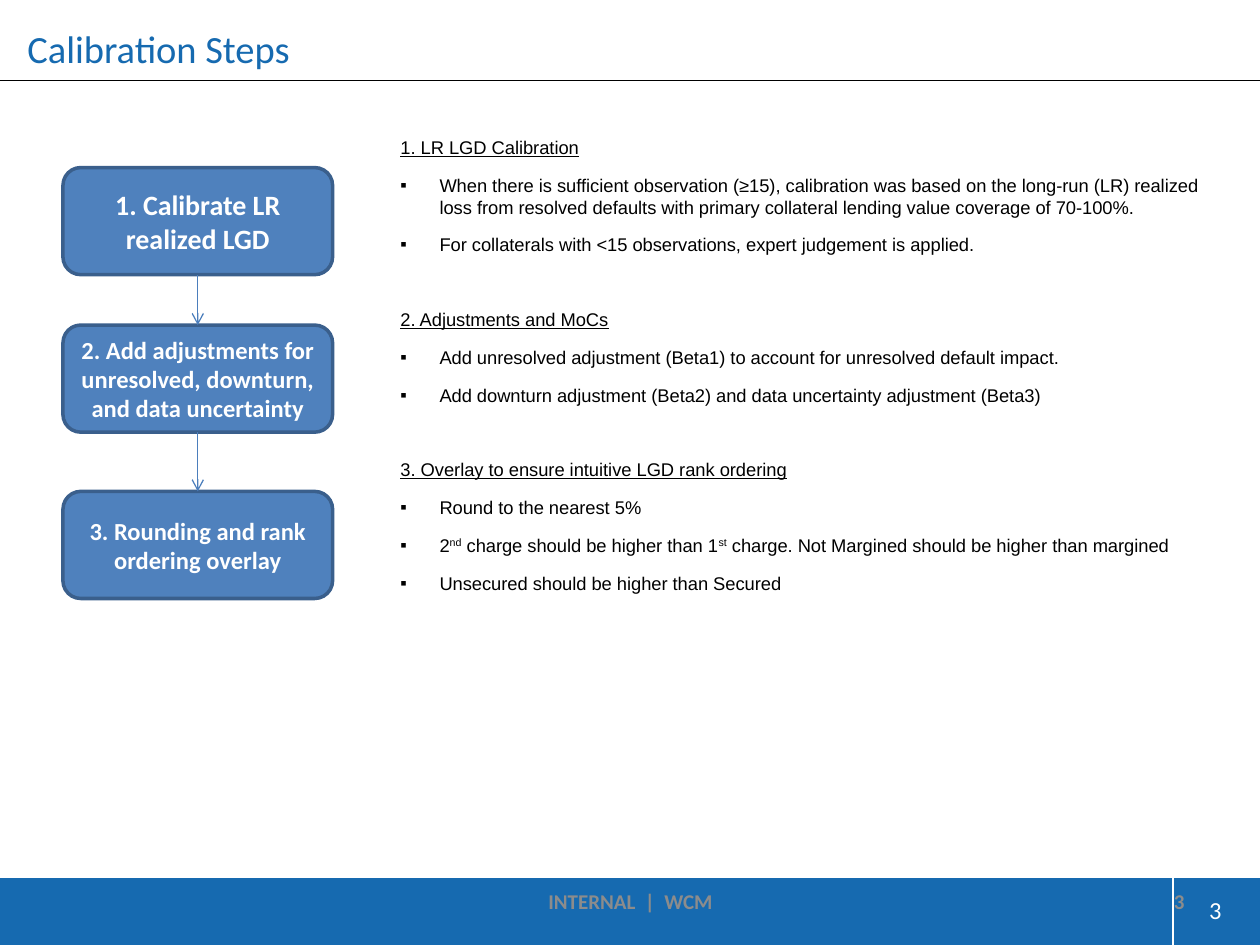
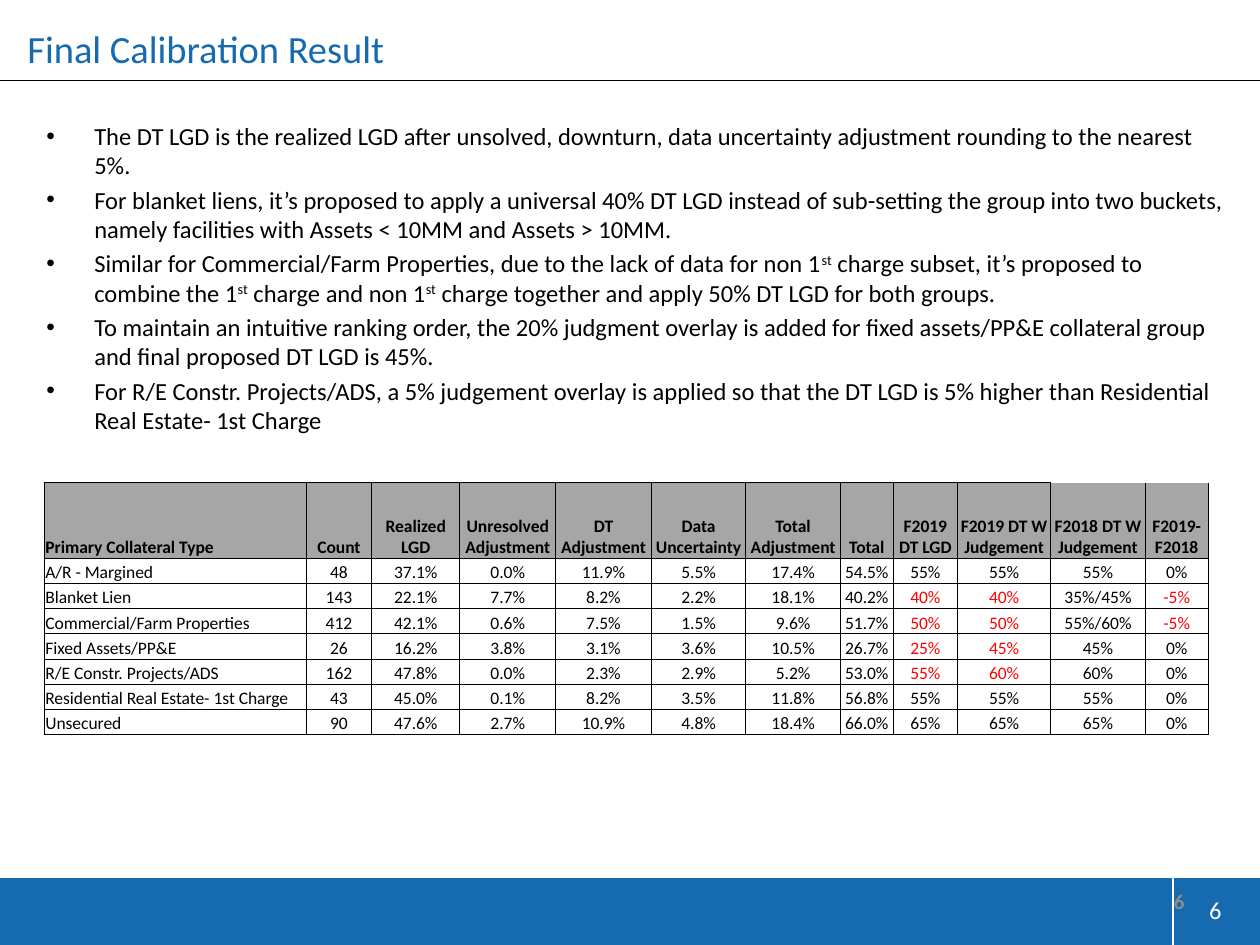
"""Builds two slides on LGD calibration: the steps and the final result."""
from dataclasses import dataclass

import pptx
import pptx.dml.color
import pptx.enum.shapes
import pptx.enum.text
import pptx.oxml.ns
import pptx.util
from lxml import etree

Inches = pptx.util.Inches
Pt = pptx.util.Pt
RGBColor = pptx.dml.color.RGBColor
Align = pptx.enum.text.PP_ALIGN
Anchor = pptx.enum.text.MSO_ANCHOR
Shape = pptx.enum.shapes.MSO_SHAPE
qn = pptx.oxml.ns.qn

BRAND_BLUE = RGBColor(0x16, 0x6A, 0xB0)
STEP_FILL = RGBColor(0x4F, 0x81, 0xBD)
STEP_EDGE = RGBColor(0x3A, 0x5F, 0x8C)
ARROW_BLUE = RGBColor(0x4B, 0x7E, 0xBC)
FOOTER_GREY = RGBColor(0x8C, 0x8C, 0x8C)
HEADER_GREY = RGBColor(0xA6, 0xA6, 0xA6)
BLACK = RGBColor(0, 0, 0)
WHITE = RGBColor(0xFF, 0xFF, 0xFF)
RED = RGBColor(0xFF, 0, 0)

BAND_TOP = 6.97
PAGE_RULE_X = 9.31


@dataclass
class Style:
    """Look of a paragraph's text."""
    size: float
    color: RGBColor = BLACK
    font: str = "Calibri"
    bold: bool = False
    underline: bool = False
    align: Align = Align.LEFT


@dataclass
class Bullet:
    """Bullet character and its hanging indent in inches."""
    char: str
    indent: float


@dataclass
class Step:
    """One box of the calibration flow."""
    text: str
    top: float
    size: float


@dataclass
class Section:
    """An underlined heading with its bullet points."""
    heading: str
    points: list[str]


TITLE = Style(22, BRAND_BLUE)
PAGE_NUMBER = Style(14, WHITE, align=Align.CENTER)
FOOTER = Style(12, FOOTER_GREY, bold=True, align=Align.CENTER)
FOOTER_NUMBER = Style(12, FOOTER_GREY, bold=True, align=Align.RIGHT)
HEADING = Style(10.5, font="Arial", underline=True)
POINT = Style(10.5, font="Arial")
FINDING = Style(14)
SQUARE = Bullet("▪", 0.31)
DOT = Bullet("•", 0.38)

STEPS = [
    Step("1. Calibrate LR realized LGD", 1.33, 16),
    Step("2. Add adjustments for unresolved, downturn, and data uncertainty", 2.58, 14),
    Step("3. Rounding and rank ordering overlay", 3.9, 14),
]

# A pair of ^ marks encloses superscript text.
SECTIONS = [
    Section("1. LR LGD Calibration", [
        "When there is sufficient observation (≥15), calibration was based on the long-run (LR) "
        "realized loss from resolved defaults with primary collateral lending value coverage "
        "of 70-100%.",
        "For collaterals with <15 observations, expert judgement is applied.",
    ]),
    Section("2. Adjustments and MoCs", [
        "Add unresolved adjustment (Beta1) to account for unresolved default impact.",
        "Add downturn adjustment (Beta2) and data uncertainty adjustment (Beta3)",
    ]),
    Section("3. Overlay to ensure intuitive LGD rank ordering", [
        "Round to the nearest 5%",
        "2^nd^ charge should be higher than 1^st^ charge. "
        "Not Margined should be higher than margined",
        "Unsecured should be higher than Secured",
    ]),
]

FINDINGS = [
    "The DT LGD is the realized LGD after unsolved, downturn, data uncertainty adjustment "
    "rounding to the nearest 5%.",
    "For blanket liens, it’s proposed to apply a universal 40% DT LGD instead of sub-setting "
    "the group into two buckets, namely facilities with Assets < 10MM and Assets > 10MM.",
    "Similar for Commercial/Farm Properties, due to the lack of data for non 1^st^ charge "
    "subset, it’s proposed to combine the 1^st^ charge and non 1^st^ charge together and "
    "apply 50% DT LGD for both groups.",
    "To maintain an intuitive ranking order, the 20% judgment overlay is added for fixed "
    "assets/PP&E collateral group and final proposed DT LGD is 45%.",
    "For R/E Constr. Projects/ADS, a 5% judgement overlay is applied so that the DT LGD is "
    "5% higher than Residential Real Estate- 1st Charge",
]

COLUMNS = [
    ("Primary Collateral Type", 2.08), ("Count", 0.52), ("Realized LGD", 0.7),
    ("Unresolved Adjustment", 0.76), ("DT Adjustment", 0.76), ("Data Uncertainty", 0.75),
    ("Total Adjustment", 0.75), ("Total", 0.42), ("F2019 DT LGD", 0.51),
    ("F2019 DT W Judgement", 0.74), ("F2018 DT W Judgement", 0.75), ("F2019-F2018", 0.5),
]
RESULTS = [
    ("A/R - Margined", "48 37.1% 0.0% 11.9% 5.5% 17.4% 54.5% 55% 55% 55% 0%"),
    ("Blanket Lien", "143 22.1% 7.7% 8.2% 2.2% 18.1% 40.2% 40% 40% 35%/45% -5%"),
    ("Commercial/Farm Properties", "412 42.1% 0.6% 7.5% 1.5% 9.6% 51.7% 50% 50% 55%/60% -5%"),
    ("Fixed Assets/PP&E", "26 16.2% 3.8% 3.1% 3.6% 10.5% 26.7% 25% 45% 45% 0%"),
    ("R/E Constr. Projects/ADS", "162 47.8% 0.0% 2.3% 2.9% 5.2% 53.0% 55% 60% 60% 0%"),
    ("Residential Real Estate- 1st Charge",
     "43 45.0% 0.1% 8.2% 3.5% 11.8% 56.8% 55% 55% 55% 0%"),
    ("Unsecured", "90 47.6% 2.7% 10.9% 4.8% 18.4% 66.0% 65% 65% 65% 0%"),
]
DT_LGD, JUDGED_2019, JUDGED_2018, CHANGE = 8, 9, 10, 11


def write(paragraph, text: str, style: Style, bullet: Bullet | None = None,
          before: float = 0, after: float = 0) -> None:
    """Fill a paragraph, raising the parts between ^ marks."""
    paragraph.alignment = style.align
    paragraph.space_before, paragraph.space_after = Pt(before), Pt(after)
    if bullet:
        properties = paragraph._p.get_or_add_pPr()
        properties.set("marL", str(Inches(bullet.indent)))
        properties.set("indent", str(-Inches(bullet.indent)))
        etree.SubElement(properties, qn("a:buFont"), typeface="Arial")
        etree.SubElement(properties, qn("a:buChar"), char=bullet.char)
    font = paragraph.font
    font.name, font.size, font.bold = style.font, Pt(style.size), style.bold
    font.underline = style.underline
    font.color.rgb = style.color
    for position, part in enumerate(text.split("^")):
        run = paragraph.add_run()
        run.text = part
        if position % 2:
            run._r.get_or_add_rPr().set("baseline", "30000")


def add_text_frame(slide, left: float, top: float, width: float, height: float,
                   anchor: Anchor = Anchor.MIDDLE):
    """Add a wrapping text box and return its text frame."""
    box = slide.shapes.add_textbox(Inches(left), Inches(top), Inches(width), Inches(height))
    box.text_frame.word_wrap = True
    box.text_frame.vertical_anchor = anchor
    return box.text_frame


def next_paragraph(frame, first: bool):
    """Return the frame's own first paragraph or a new one."""
    return frame.paragraphs[0] if first else frame.add_paragraph()


def add_line(slide, start: tuple[float, float], end: tuple[float, float],
             color: RGBColor, weight: float):
    """Add a straight line without shadow."""
    line = slide.shapes.add_connector(
        pptx.enum.shapes.MSO_CONNECTOR.STRAIGHT, *map(Inches, start + end))
    line.line.color.rgb = color
    line.line.width = Pt(weight)
    etree.SubElement(line._element.spPr, qn("a:effectLst"))
    return line


def add_base_slide(deck, title: str, number: int):
    """Add a slide with title, rule, footer band and page numbers."""
    slide = deck.slides.add_slide(deck.slide_layouts[6])
    band = slide.shapes.add_shape(
        Shape.RECTANGLE, 0, Inches(BAND_TOP), Inches(10), Inches(7.5 - BAND_TOP))
    band.shadow.inherit = False
    band.fill.solid()
    band.fill.fore_color.rgb = BRAND_BLUE
    band.line.fill.background()
    add_line(slide, (PAGE_RULE_X, BAND_TOP), (PAGE_RULE_X, 7.5), WHITE, 0.75)
    add_line(slide, (0, 0.64), (10, 0.64), BLACK, 0.5)
    page = add_text_frame(slide, 9.34, 7.01, 0.61, 0.42)
    page.margin_left = page.margin_right = page.margin_top = page.margin_bottom = 0
    write(page.paragraphs[0], str(number), PAGE_NUMBER)
    footer_number = add_text_frame(slide, 7.17, 6.95, 2.33, 0.4)
    write(footer_number.paragraphs[0], str(number), FOOTER_NUMBER)
    write(add_text_frame(slide, 0.12, 0.15, 9, 0.47).paragraphs[0], title, TITLE)
    return slide


def add_step(slide, step: Step):
    """Add one rounded box of the flow."""
    box = slide.shapes.add_shape(
        Shape.ROUNDED_RECTANGLE, Inches(0.5), Inches(step.top), Inches(2.14), Inches(0.85))
    box.shadow.inherit = False
    box.fill.solid()
    box.fill.fore_color.rgb = STEP_FILL
    box.line.color.rgb = STEP_EDGE
    box.line.width = Pt(2)
    box.text_frame.word_wrap = True
    box.text_frame.vertical_anchor = Anchor.MIDDLE
    style = Style(step.size, WHITE, bold=True, align=Align.CENTER)
    write(box.text_frame.paragraphs[0], step.text, style)
    return box


def add_arrow(slide, upper, lower) -> None:
    """Join the bottom of one step to the top of the next."""
    arrow = add_line(slide, (0, 0), (1, 1), ARROW_BLUE, 0.75)
    arrow.begin_connect(upper, 2)
    arrow.end_connect(lower, 0)
    etree.SubElement(arrow.line._get_or_add_ln(), qn("a:tailEnd"), type="arrow")


def set_borders(cell, sides: str) -> None:
    """Draw thin black borders on the given sides and none on the others."""
    properties = cell._tc.get_or_add_tcPr()
    for position, side in enumerate("LRTB"):
        border = etree.Element(qn(f"a:ln{side}"), w=str(Pt(0.5)))
        if side in sides:
            fill = etree.SubElement(border, qn("a:solidFill"))
            etree.SubElement(fill, qn("a:srgbClr"), val=str(BLACK))
        else:
            etree.SubElement(border, qn("a:noFill"))
        properties.insert(position, border)


def value_color(row: list[str], column: int) -> RGBColor:
    """Mark LGDs that judgement or the new year changed, and negative changes."""
    changed = len({row[DT_LGD], row[JUDGED_2019], row[JUDGED_2018]}) > 1
    if column in (DT_LGD, JUDGED_2019) and changed:
        return RED
    return RED if column == CHANGE and row[column].startswith("-") else BLACK


def add_result_table(slide) -> None:
    """Add the calibration table with its grey header row."""
    rows = [[name for name, _ in COLUMNS]]
    rows += [[collateral, *values.split()] for collateral, values in RESULTS]
    table = slide.shapes.add_table(
        len(rows), len(COLUMNS), Inches(0.35), Inches(3.83), Inches(9.24), Inches(2)).table
    table.first_row = table.horz_banding = False
    for column, (_, width) in zip(table.columns, COLUMNS):
        column.width = Inches(width)
    for r, row in enumerate(rows):
        header = r == 0
        table.rows[r].height = Inches(0.6 if header else 0.2)
        for c, text in enumerate(row):
            cell = table.cell(r, c)
            cell.margin_left = cell.margin_right = cell.margin_top = Inches(0.01)
            cell.margin_bottom = 0
            cell.vertical_anchor = Anchor.BOTTOM
            if header:
                cell.fill.solid()
                cell.fill.fore_color.rgb = HEADER_GREY
            else:
                cell.fill.background()
            set_borders(cell, "LRB" if header and c >= JUDGED_2018 else "LRTB")
            color = BLACK if header else value_color(row, c)
            align = Align.CENTER if c else Align.LEFT
            write(cell.text_frame.paragraphs[0], text,
                  Style(10, color, bold=header, align=align))


def build_steps_slide(deck) -> None:
    """Build the flow of steps with the explanation beside it."""
    slide = add_base_slide(deck, "Calibration Steps", 3)
    write(add_text_frame(slide, 3.42, 6.95, 3.17, 0.4).paragraphs[0], "INTERNAL  |  WCM", FOOTER)
    boxes = [add_step(slide, step) for step in STEPS]
    for upper, lower in zip(boxes, boxes[1:]):
        add_arrow(slide, upper, lower)
    frame = add_text_frame(slide, 3.08, 1.03, 6.69, 4.09, Anchor.TOP)
    for position, section in enumerate(SECTIONS):
        first = position == 0
        write(next_paragraph(frame, first), section.heading, HEADING,
              before=0 if first else 21, after=9)
        for point in section.points:
            write(frame.add_paragraph(), point, POINT, SQUARE, after=9)


def build_result_slide(deck) -> None:
    """Build the findings with the result table below."""
    slide = add_base_slide(deck, "Final Calibration Result", 6)
    frame = add_text_frame(slide, 0.27, 0.91, 9.61, 2.8, Anchor.TOP)
    for position, finding in enumerate(FINDINGS):
        write(next_paragraph(frame, position == 0), finding, FINDING, DOT, before=2.8)
    add_result_table(slide)


presentation = pptx.Presentation()
presentation.slide_width, presentation.slide_height = Inches(10), Inches(7.5)
build_steps_slide(presentation)
build_result_slide(presentation)
presentation.save("out.pptx")
